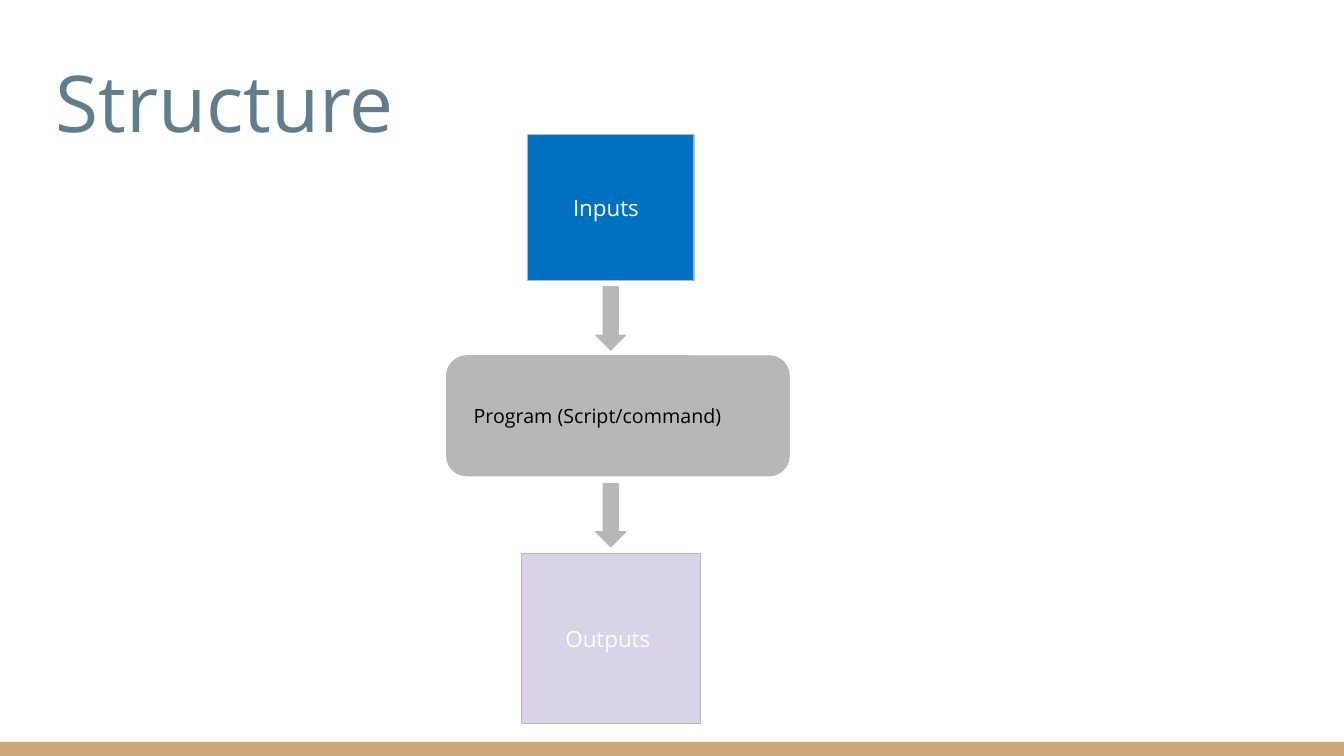
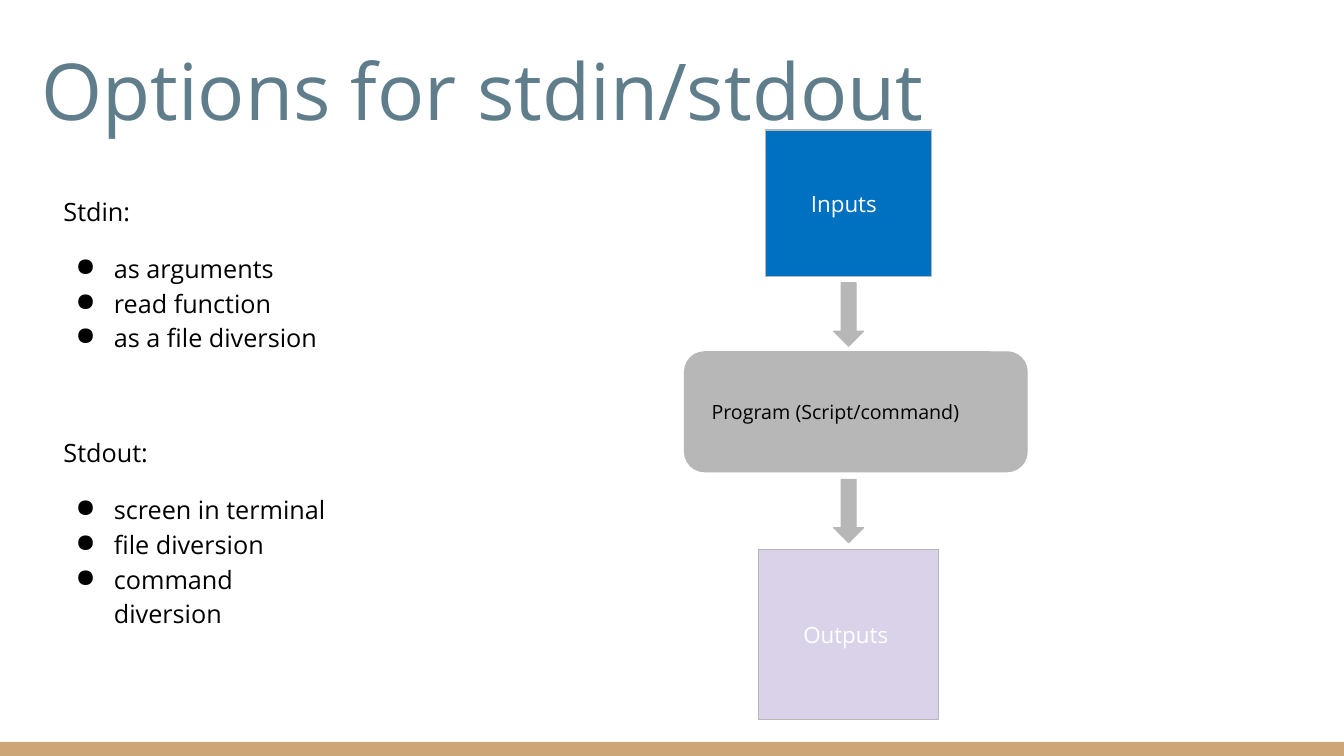
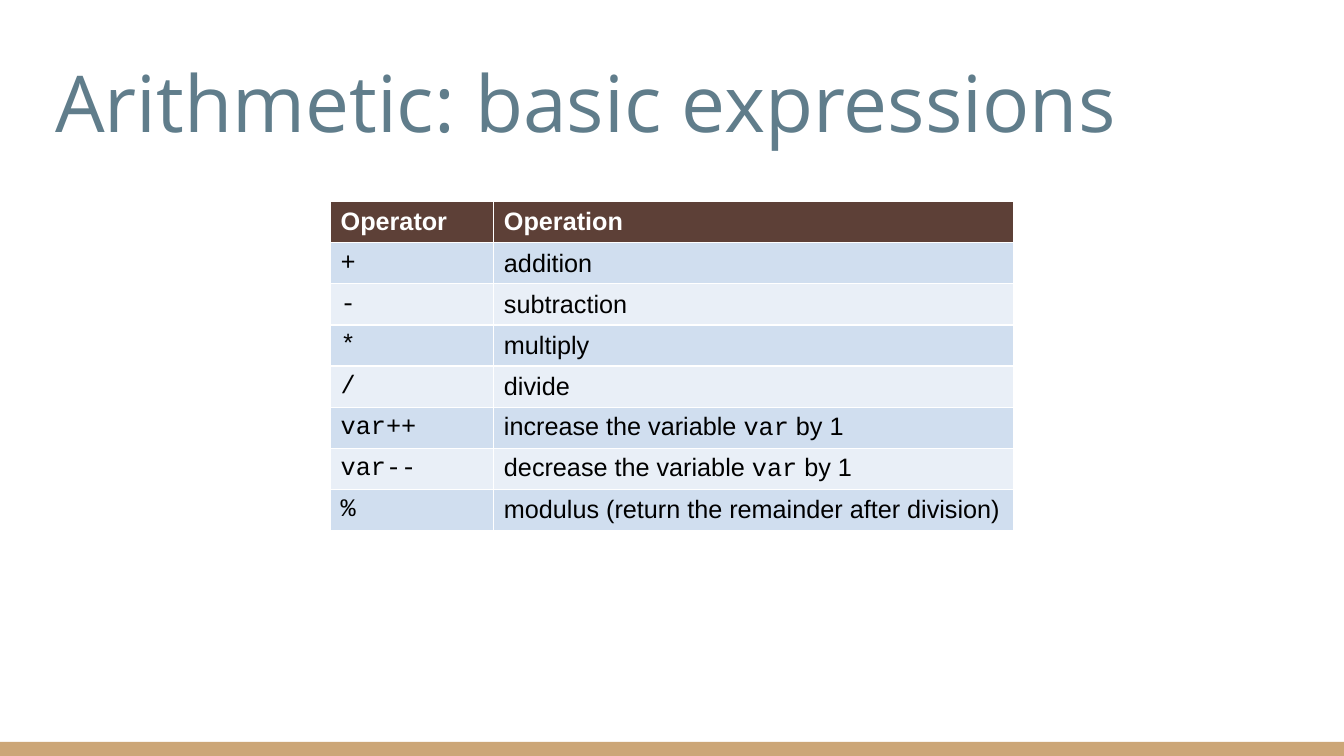
"""Build three slides on shell scripts: structure, input and output, arithmetic."""
import pptx
import pptx.util
import pptx.dml.color
import pptx.enum.shapes
import pptx.enum.text
import lxml.etree

Pt = pptx.util.Pt
RGB = pptx.dml.color.RGBColor
Kind = pptx.enum.shapes.MSO_SHAPE
Anchor = pptx.enum.text.MSO_ANCHOR
Align = pptx.enum.text.PP_ALIGN

SLATE = RGB(0x60, 0x7D, 0x8B)
SAND = RGB(0xCC, 0xA6, 0x77)
BLUE = RGB(0x00, 0x70, 0xC0)
LILAC = RGB(0xD9, 0xD2, 0xE9)
GRAY = RGB(0xB7, 0xB7, 0xB7)
BROWN = RGB(0x5D, 0x40, 0x37)
PALE = RGB(0xE9, 0xEF, 0xF7)
SKY = RGB(0xD0, 0xDE, 0xEF)
WHITE = RGB(0xFF, 0xFF, 0xFF)
BLACK = RGB(0x00, 0x00, 0x00)
SANS, PLAIN, MONO = "Open Sans", "Arial", "Courier New"

deck = pptx.Presentation()
deck.slide_width = pptx.util.Inches(13.33)
deck.slide_height = pptx.util.Inches(7.5)
COL = deck.slide_width / 100
ROW = deck.slide_height / 100


def place(x, y, w, h):
    """Turn shares of the slide, in percent, into lengths."""
    return [round(n) for n in (x * COL, y * ROW, w * COL, h * ROW)]


def write(para, text, **style):
    """Add a run of text with the given font values."""
    run = para.add_run()
    run.text = text
    run.font.color.rgb = style.pop("color")
    for key, value in style.items():
        setattr(run.font, key, value)


heads = [
    ("Structure", 3.38, 6.13, 0.05, Anchor.MIDDLE, 0.9),
    ("Options for stdin/stdout", 2.1, 3.6, 0.13, Anchor.BOTTOM, 1.0),
    ("Arithmetic: basic expressions", 3.38, 6.13, 0.05, Anchor.MIDDLE, 0.9),
]
slides = []
for text, x, y, pad, anchor, pitch in heads:
    slide = deck.slides.add_slide(deck.slide_layouts[6])
    slides.append(slide)
    band = slide.shapes.add_shape(Kind.RECTANGLE, *place(0, 98.13, 100, 1.87))
    band.shadow.inherit = False
    band.fill.solid()
    band.fill.fore_color.rgb = SAND
    band.line.fill.background()
    frame = slide.shapes.add_textbox(*place(x, y, 93.15, 16.13)).text_frame
    side = pptx.util.Inches(max(pad, 0.1))
    edge = pptx.util.Inches(pad)
    form = {"word_wrap": True, "vertical_anchor": anchor, "margin_left": side,
            "margin_right": side, "margin_top": edge, "margin_bottom": edge}
    for key, value in form.items():
        setattr(frame, key, value)
    frame.paragraphs[0].line_spacing = pitch
    write(frame.paragraphs[0], text, name=SANS, size=Pt(56), color=SLATE)

steps = [
    (Kind.RECTANGLE, -6.19, 0, 12.38, 19.33, BLUE, "Inputs", 3.38, 16, WHITE),
    (Kind.RECTANGLE, -6.68, 55.47, 13.35, 22.53, LILAC, "Outputs", 3.3, 16, WHITE),
    (Kind.FLOWCHART_ALTERNATE_PROCESS, -12.22, 29.33, 25.5, 15.87, GRAY,
     "Program (Script/command)", 1.58, 14, BLACK),
    (Kind.DOWN_ARROW, -1.13, 20.2, 2.25, 8.4, GRAY, "", 0, 14, BLACK),
    (Kind.DOWN_ARROW, -1.13, 46.2, 2.25, 8.4, GRAY, "", 0, 14, BLACK),
]
for slide, mid, top in [(slides[0], 45.45, 17.73), (slides[1], 63.15, 17.2)]:
    for kind, x, y, w, h, fill, text, pad, size, ink in steps:
        step = slide.shapes.add_shape(kind, *place(mid + x, top + y, w, h))
        step.shadow.inherit = False
        step.fill.solid()
        step.fill.fore_color.rgb = fill
        step.line.color.rgb = GRAY
        step.line.width = Pt(0.75)
        if text:
            frame = step.text_frame
            frame.vertical_anchor = Anchor.MIDDLE
            frame.margin_left = round(pad * COL)
            frame.margin_right = 0
            frame.paragraphs[0].alignment = Align.LEFT
            write(frame.paragraphs[0], text, name=SANS, size=Pt(size), color=ink)

lists = {
    "Stdin:": ["as arguments", "read function", "as a file diversion"],
    "Stdout:": ["screen in terminal", "file diversion", "command diversion"],
}
frame = slides[1].shapes.add_textbox(*place(3.75, 23.6, 22.5, 65.2)).text_frame
frame.word_wrap = True
for side in ("left", "right", "top", "bottom"):
    setattr(frame, "margin_" + side, pptx.util.Inches(0.13))
para = frame.paragraphs[0]
for head, items in lists.items():
    if para is None:
        para = frame.add_paragraph()
        para.space_before = Pt(57)
    para.line_spacing = 1.15
    write(para, head, name=SANS, size=Pt(18), color=BLACK)
    for rank, item in enumerate(items):
        para = frame.add_paragraph()
        para.line_spacing = 1.15
        para.space_before = Pt(0 if rank else 16)
        write(para, item, name=SANS, size=Pt(18), color=BLACK)
        props = para._p.get_or_add_pPr()
        props.set("marL", str(pptx.util.Inches(0.5)))
        props.set("indent", str(pptx.util.Inches(-0.38)))
        mark = lxml.etree.SubElement(props, pptx.oxml.ns.qn("a:buChar"))
        mark.set("char", "●")
    para = None

rows = [
    ("Operator", "Operation"),
    ("`+`", "addition"),
    ("`-`", "subtraction"),
    ("`*`", "multiply"),
    ("`/`", "divide"),
    ("`var++`", "increase the variable `var` by 1"),
    ("`var--`", "decrease the variable `var` by 1"),
    ("`%`", "modulus (return the remainder after division)"),
]
spot = place(24.6, 26.67, 50.85, 43.73)
table = slides[2].shapes.add_table(len(rows), 2, *spot).table
for col, share in zip(table.columns, (12.15, 38.7)):
    col.width = round(share * COL)
for r, texts in enumerate(rows):
    table.rows[r].height = round(5.44 * ROW)
    for c, text in enumerate(texts):
        cell = table.cell(r, c)
        cell.vertical_anchor = Anchor.MIDDLE
        cell.fill.solid()
        cell.fill.fore_color.rgb = (SKY if r % 2 else PALE) if r else BROWN
        for n, part in enumerate(text.split("`")):
            if part:
                write(cell.text_frame.paragraphs[0], part,
                      name=MONO if n % 2 else PLAIN, size=Pt(18),
                      bold=r == 0, color=BLACK if r else WHITE)

deck.save("out.pptx")
